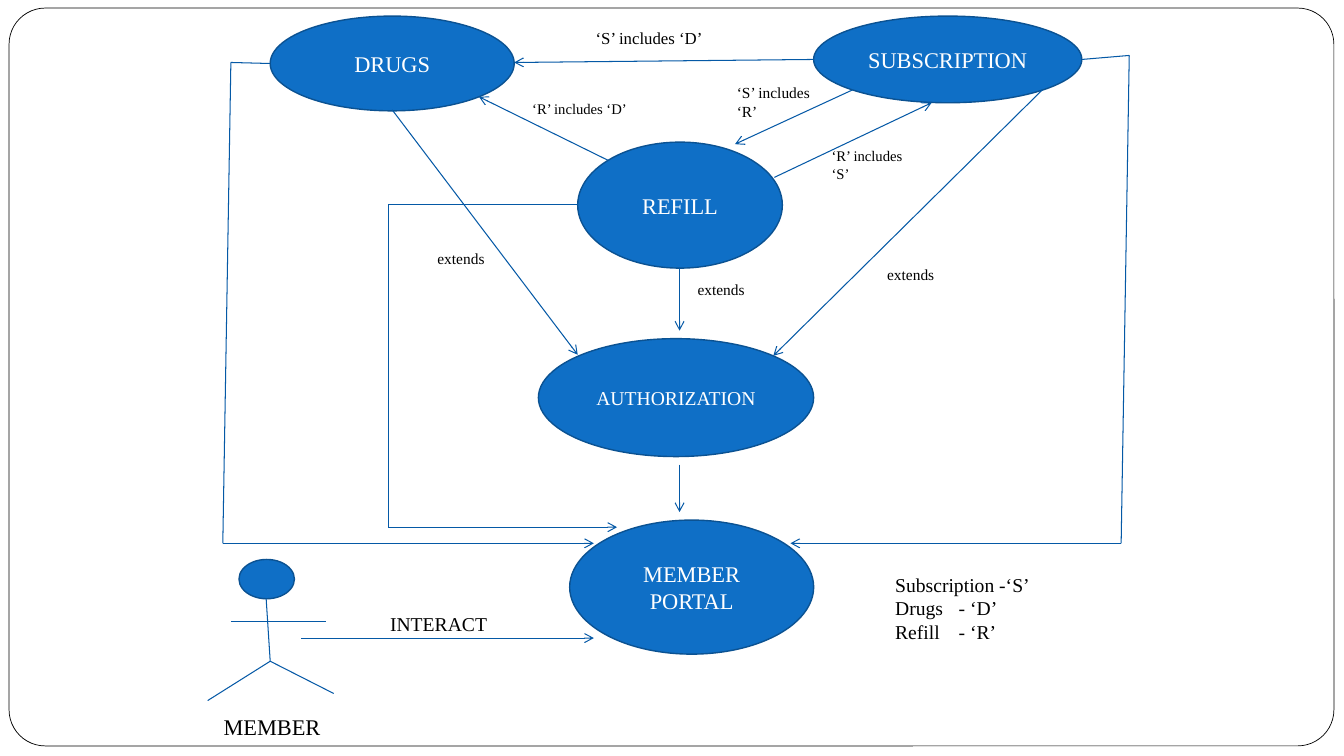
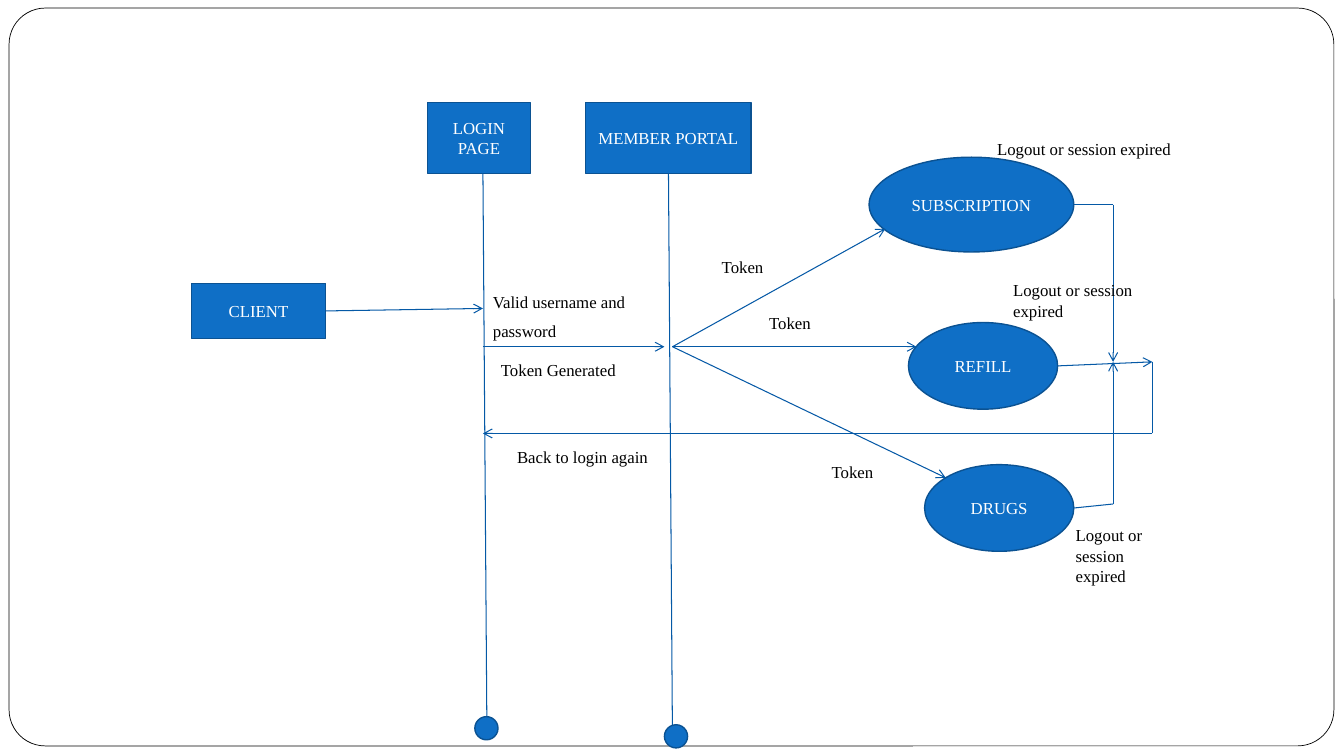
"""Builds the use case and login sequence slides of the member portal."""
from lxml.etree import SubElement
from pptx import Presentation
from pptx.dml.color import RGBColor
from pptx.enum.shapes import MSO_CONNECTOR, MSO_SHAPE
from pptx.enum.text import MSO_ANCHOR, PP_ALIGN
from pptx.oxml.ns import qn
from pptx.util import Inches, Pt

FONT = "Times New Roman"
FILL, OUTLINE, LINK = "0F6FC6", "0B5292", "0559A6"
BLACK, WHITE = "000000", "FFFFFF"
OVAL, RECTANGLE = MSO_SHAPE.OVAL, MSO_SHAPE.RECTANGLE
RIGHT_SIDE, BOTTOM_SIDE = 3, 2


def color(code):
    """Return the colour for a hex string."""
    return RGBColor.from_string(code)


def write(frame, lines, size, code, align):
    """Write one paragraph per line into a text frame."""
    frame.word_wrap = True
    for index, line in enumerate(lines):
        para = frame.add_paragraph() if index else frame.paragraphs[0]
        para.alignment = align
        span = para.add_run()
        span.text = line
        span.font.name, span.font.size = FONT, Pt(size)
        span.font.color.rgb = color(code)


def add_node(page, kind, at, lines=(), size=12, fill=FILL, outline=OUTLINE, width=1):
    """Add a filled shape with centred white text."""
    node = page.shapes.add_shape(kind, *map(Inches, at))
    node.shadow.inherit = False
    node.fill.solid()
    node.fill.fore_color.rgb = color(fill)
    node.line.color.rgb = color(outline)
    node.line.width = Pt(width)
    node.text_frame.vertical_anchor = MSO_ANCHOR.MIDDLE
    write(node.text_frame, lines, size, WHITE, PP_ALIGN.CENTER)
    return node


def add_label(page, at, *lines, size=12):
    """Add a black, left-aligned text box and return its text frame."""
    box = page.shapes.add_textbox(*map(Inches, at))
    write(box.text_frame, lines, size, BLACK, PP_ALIGN.LEFT)
    return box.text_frame


def add_link(page, *points, arrow=True, start=None, side=RIGHT_SIDE):
    """Draw straight connectors through the points, with an arrowhead at the end."""
    for index, (begin, end) in enumerate(zip(points, points[1:])):
        link = page.shapes.add_connector(
            MSO_CONNECTOR.STRAIGHT, *map(Inches, (*begin, *end)))
        link.line.color.rgb = color(LINK)
        link.line.width = Pt(0.75)
        properties = link.element.spPr
        SubElement(properties, qn("a:effectLst"))
        if start is not None and index == 0:
            link.begin_connect(start, side)
        if arrow and index == len(points) - 2:
            SubElement(properties.find(qn("a:ln")), qn("a:tailEnd"), type="arrow")


def add_tab(para, distance):
    """Set a left tab stop on a paragraph."""
    stops = SubElement(para._p.get_or_add_pPr(), qn("a:tabLst"))
    SubElement(stops, qn("a:tab"), pos=str(Inches(distance)), algn="l")


def add_frame(layout, page):
    """Place the rounded frame on the layout that the slides share."""
    frame = add_node(page, MSO_SHAPE.ROUNDED_RECTANGLE, (0.09, 0.08, 13.14, 7.32),
                     fill=WHITE, outline=BLACK, width=0.5)
    frame.adjustments[0] = 0.049
    layout.shapes.element.insert(2, frame.element)


def add_member(page):
    """Draw the stick figure of the member with its caption."""
    hip = (2.68, 6.56)
    add_node(page, OVAL, (2.37, 5.55, 0.55, 0.39))
    add_link(page, (2.64, 5.94), hip, (2.06, 6.95), arrow=False)
    add_link(page, hip, (3.31, 6.88), arrow=False)
    add_link(page, (2.29, 6.17), (3.23, 6.17), arrow=False)
    add_label(page, (2.12, 7.03, 1.66, 0.37), "MEMBER", size=16)


def build_use_cases(page):
    """Build the use case diagram."""
    for name, at, size in (
        ("DRUGS", (2.68, 0.16, 2.42, 0.94), 16),
        ("SUBSCRIPTION", (8.07, 0.16, 2.66, 0.86), 16),
        ("REFILL", (5.73, 1.41, 2.03, 1.25), 16),
        ("AUTHORIZATION", (5.34, 3.36, 2.73, 1.17), 14),
        ("MEMBER PORTAL", (5.65, 5.16, 2.42, 1.33), 16),
    ):
        add_node(page, OVAL, at, [name], size)
    add_member(page)
    for points in (
        [(8.07, 0.59), (5.1, 0.62)],
        [(8.46, 0.89), (7.29, 1.43)],
        [(7.68, 1.76), (9.24, 1.02)],
        [(6.03, 1.59), (4.75, 0.96)],
        [(6.74, 2.66), (6.74, 3.28)],
        [(3.89, 1.09), (5.73, 3.52)],
        [(10.34, 0.89), (7.67, 3.53)],
        [(6.74, 4.61), (6.74, 5.08)],
        [(2.68, 0.63), (2.29, 0.62), (2.21, 5.39), (5.89, 5.39)],
        [(10.73, 0.59), (11.2, 0.55), (11.12, 5.39), (7.84, 5.39)],
        [(5.73, 2.03), (3.85, 2.03), (3.85, 5.23), (6.12, 5.23)],
        [(2.99, 6.33), (5.89, 6.33)],
    ):
        add_link(page, *points)
    for text, at, size in (
        ("‘S’ includes ‘D’", (5.81, 0.23, 1.33, 0.3), 12),
        ("‘S’ includes ‘R’", (7.21, 0.78, 0.94, 0.47), 11),
        ("‘R’ includes ‘D’", (5.18, 0.94, 1.25, 0.28), 10.5),
        ("‘R’ includes ‘S’", (8.15, 1.41, 0.94, 0.45), 10.5),
        ("INTERACT", (3.77, 6.02, 1.73, 0.34), 14),
        ("extends", (4.24, 2.42, 0.86, 0.29), 11),
        ("extends", (6.82, 2.73, 0.86, 0.29), 11),
        ("extends", (8.7, 2.58, 1.02, 0.29), 11),
    ):
        add_label(page, at, text, size=size)
    legend = add_label(page, (8.78, 5.63, 2.73, 0.81), "Subscription -‘S’",
                       "Drugs\t- ‘D’", "Refill\t- ‘R’", size=14)
    for para in legend.paragraphs[1:]:
        add_tab(para, 0.63)


def build_login_sequence(page):
    """Build the login and token sequence diagram."""
    client = add_node(page, RECTANGLE, (1.9, 2.81, 1.33, 0.55), ["CLIENT"])
    add_node(page, RECTANGLE, (4.24, 1.02, 1.02, 0.7), ["LOGIN", "PAGE"])
    portal = add_node(page, RECTANGLE, (5.81, 1.02, 1.64, 0.7), ["MEMBER PORTAL"])
    for name, at in (
        ("SUBSCRIPTION", (8.62, 1.56, 2.03, 0.94)),
        ("REFILL", (9.01, 3.2, 1.48, 0.86)),
        ("DRUGS", (9.17, 4.61, 1.48, 0.86)),
    ):
        add_node(page, OVAL, at, [name])
    add_link(page, (4.79, 1.72), (4.83, 7.34), arrow=False)
    add_link(page, (6.63, 1.72), (6.67, 7.34), arrow=False,
             start=portal, side=BOTTOM_SIDE)
    for left, top in ((4.71, 7.11), (6.59, 7.19)):
        add_node(page, OVAL, (left, top, 0.23, 0.23))
    add_link(page, (3.23, 3.09), (4.79, 3.06), start=client)
    add_link(page, (4.79, 3.44), (6.59, 3.44))
    for target in ((9.09, 3.44), (8.78, 2.27), (9.38, 4.74)):
        add_link(page, (6.67, 3.44), target)
    for points in (
        [(10.49, 3.63), (11.43, 3.59)],
        [(10.65, 2.03), (11.04, 2.03), (11.04, 3.59)],
        [(10.65, 5.04), (11.04, 5), (11.04, 3.59)],
        [(11.43, 3.59), (11.43, 4.3), (4.79, 4.3)],
    ):
        add_link(page, *points)
    credentials = add_label(page, (4.79, 2.76, 1.88, 0.68), "Valid username and password")
    credentials.paragraphs[0].line_spacing = Pt(20.7)
    add_label(page, (4.87, 3.52, 1.8, 0.3), "Token Generated")
    add_label(page, (5.03, 4.38, 1.56, 0.3), "Back to login again")
    for left, top in ((7.06, 2.5), (7.53, 3.05), (8.15, 4.53)):
        add_label(page, (left, top, 0.7, 0.3), "Token")
    for at in ((9.79, 1.33, 2.19, 0.3), (9.95, 2.73, 1.56, 0.5), (10.57, 5.16, 0.94, 0.71)):
        add_label(page, at, "Logout or session expired")


def main():
    """Build the deck and save it."""
    deck = Presentation()
    deck.slide_width, deck.slide_height = Inches(13.33), Inches(7.5)
    layout = deck.slide_layouts[6]
    pages = [deck.slides.add_slide(layout) for _ in range(2)]
    add_frame(layout, pages[0])
    build_use_cases(pages[0])
    build_login_sequence(pages[1])
    deck.save("out.pptx")


if __name__ == "__main__":
    main()
